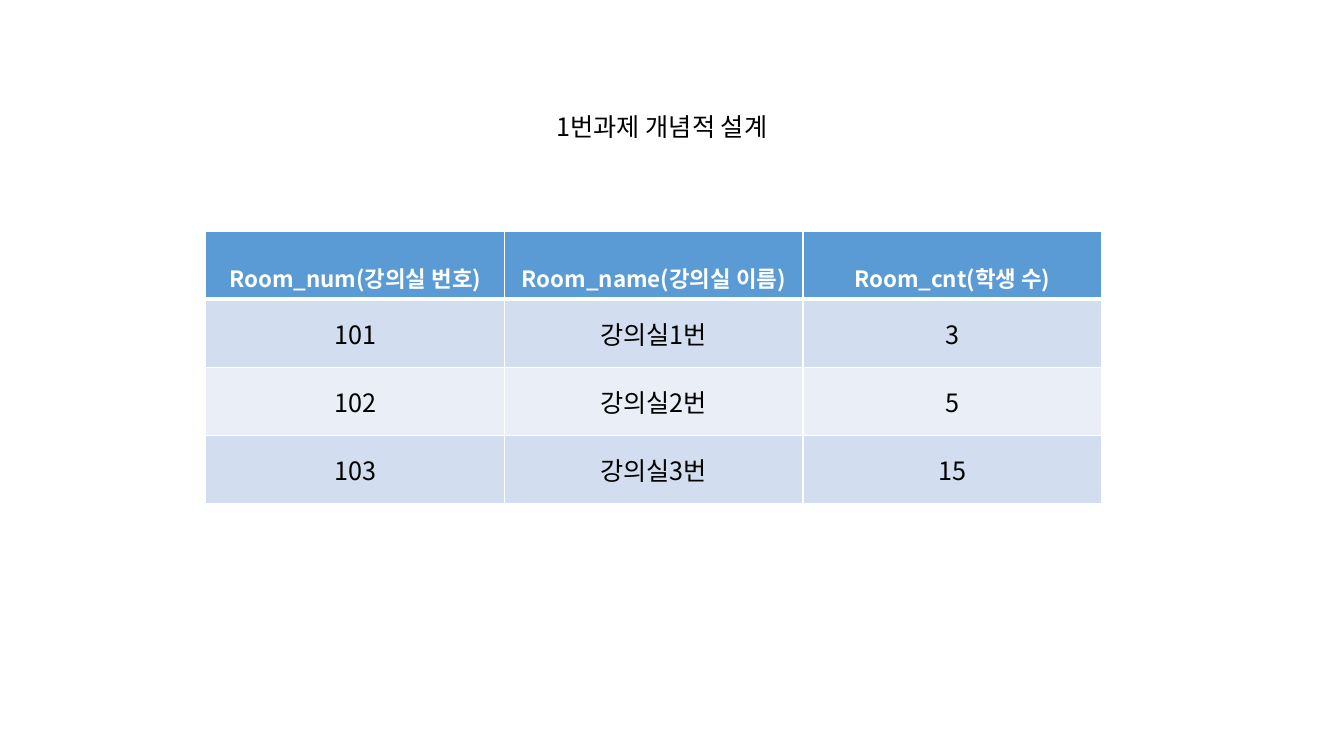
from dataclasses import dataclass

from lxml.etree import SubElement
from pptx import Presentation
from pptx.dml.color import RGBColor
from pptx.enum.text import MSO_ANCHOR, MSO_AUTO_SIZE, PP_ALIGN
from pptx.oxml.ns import qn
from pptx.util import Pt


@dataclass(frozen=True)
class Theme:
    font: str = "Noto Sans CJK KR"
    black: str = "000000"
    white: str = "FFFFFF"
    header_fill: str = "5B9BD5"
    band_fills: tuple = ("D2DEEF", "EAEFF7")
    text_size: int = 18
    header_size: int = 16
    thin_line: int = 1
    thick_line: int = 3


THEME = Theme()

TITLE = "1번과제 개념적 설계"
ROOMS = [
    ("Room_num(강의실 번호)", "Room_name(강의실 이름)", "Room_cnt(학생 수)"),
    ("101", "강의실1번", "3"),
    ("102", "강의실2번", "5"),
    ("103", "강의실3번", "15"),
]
LEFT = Pt(147)
COLUMN_WIDTH = Pt(213.3)
ROW_HEIGHT = Pt(48.7)


def write_text(text_frame, text, size, color, bold=False):
    """Write one centred line in the theme font, for Latin and Korean alike."""
    text_frame.text = text
    paragraph = text_frame.paragraphs[0]
    paragraph.alignment = PP_ALIGN.CENTER
    paragraph.line_spacing = 1.0
    for run in paragraph.runs:
        font = run.font
        font.name = THEME.font
        font.size = Pt(size)
        font.bold = bold
        font.color.rgb = RGBColor.from_string(color)
        SubElement(font._element, qn("a:ea"), typeface=THEME.font)


def add_title(slide):
    title = slide.shapes.title
    title.left, title.top, title.width, title.height = LEFT, Pt(75.6), Pt(651.6), Pt(29)
    title.line.color.rgb = RGBColor.from_string(THEME.white)
    title.line.width = Pt(THEME.thin_line)
    text_frame = title.text_frame
    text_frame.word_wrap = True
    text_frame.auto_size = MSO_AUTO_SIZE.NONE
    text_frame.vertical_anchor = MSO_ANCHOR.MIDDLE
    write_text(text_frame, TITLE, THEME.text_size, THEME.black)


def add_borders(cell, widths):
    """Draw white borders; widths maps each side (L, R, T, B) to points."""
    properties = cell._tc.get_or_add_tcPr()
    for side, width in widths.items():
        line = SubElement(properties, qn(f"a:ln{side}"), w=str(Pt(width)))
        fill = SubElement(line, qn("a:solidFill"))
        SubElement(fill, qn("a:srgbClr"), val=THEME.white)


def format_cell(cell, text, row_index):
    is_header = row_index == 0
    widths = dict.fromkeys("LRTB", THEME.thin_line)
    if is_header:
        widths["B"] = THEME.thick_line
    elif row_index == 1:
        widths["T"] = THEME.thick_line
    add_borders(cell, widths)

    color = THEME.header_fill if is_header else THEME.band_fills[(row_index - 1) % 2]
    cell.fill.solid()
    cell.fill.fore_color.rgb = RGBColor.from_string(color)
    if is_header:
        cell.vertical_anchor = MSO_ANCHOR.BOTTOM
        write_text(cell.text_frame, text, THEME.header_size, THEME.white, bold=True)
    else:
        cell.vertical_anchor = MSO_ANCHOR.MIDDLE
        write_text(cell.text_frame, text, THEME.text_size, THEME.black)


def add_room_table(slide):
    row_count, column_count = len(ROOMS), len(ROOMS[0])
    table = slide.shapes.add_table(
        row_count, column_count, LEFT, Pt(165),
        COLUMN_WIDTH * column_count, ROW_HEIGHT * row_count,
    ).table
    for column in table.columns:
        column.width = COLUMN_WIDTH
    for row_index, values in enumerate(ROOMS):
        table.rows[row_index].height = ROW_HEIGHT
        for column_index, text in enumerate(values):
            format_cell(table.cell(row_index, column_index), text, row_index)


def main():
    presentation = Presentation()
    presentation.slide_width, presentation.slide_height = Pt(960), Pt(540)
    title_only_layout = presentation.slide_layouts[5]
    slide = presentation.slides.add_slide(title_only_layout)
    add_title(slide)
    add_room_table(slide)
    presentation.save("out.pptx")


if __name__ == "__main__":
    main()
